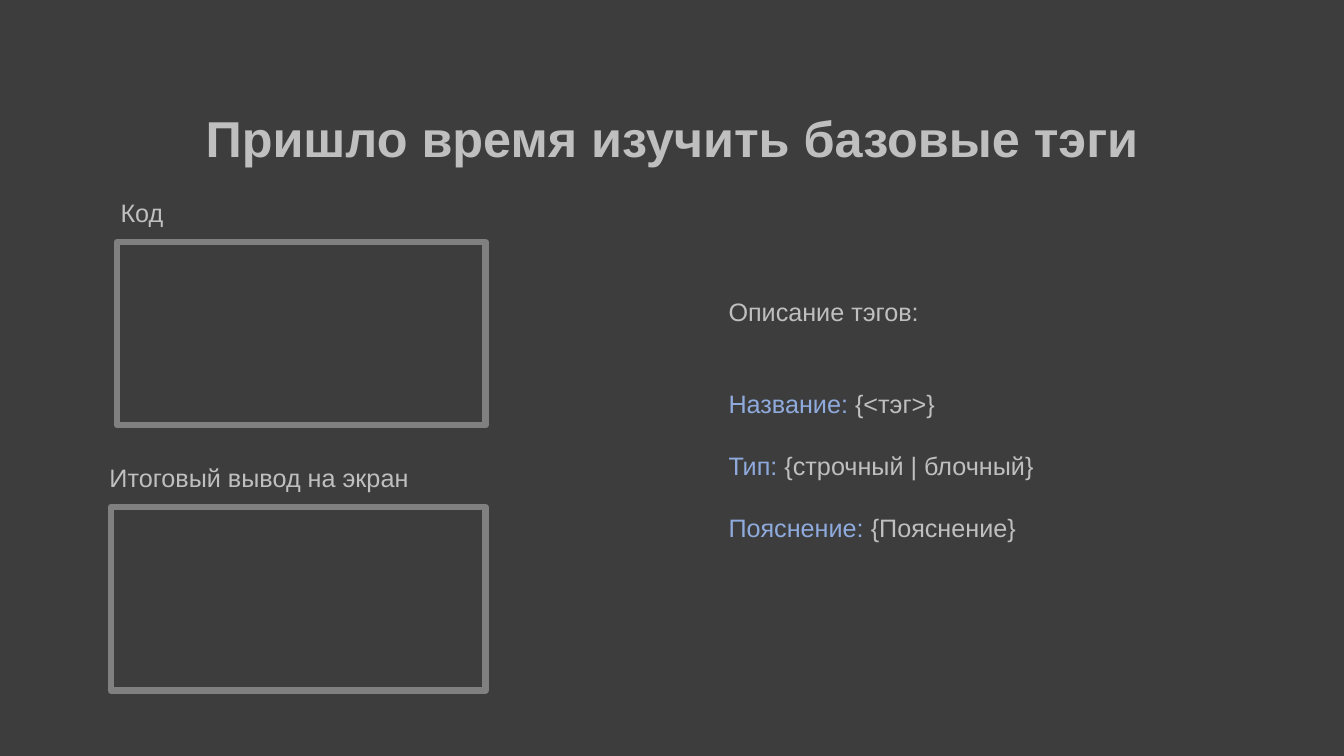
from pptx import Presentation
from pptx.dml.color import RGBColor as RGB
from pptx.enum.shapes import MSO_SHAPE as SHAPE
from pptx.enum.text import MSO_ANCHOR as ANCHOR, MSO_AUTO_SIZE as AUTO, PP_ALIGN as ALIGN
from pptx.util import Cm, Pt

THEME = {
    "font": "Arial",
    "background": RGB(0x3D, 0x3D, 0x3D),
    "text": RGB(0xBF, 0xBF, 0xBF),
    "accent": RGB(0x8F, 0xAA, 0xDC),
    "frame": RGB(0x80, 0x80, 0x80),
    "title_size": Pt(36),
    "body_size": Pt(18),
    "frame_width": Pt(4.5),
}


def add_run(p, text, color="text", size="body_size", bold=False):
    r = p.add_run()
    r.text = text
    r.font.name = THEME["font"]
    r.font.size = THEME[size]
    r.font.bold = bold
    r.font.color.rgb = THEME[color]


def add_text(s, left, top, width, height):
    tf = s.shapes.add_textbox(Cm(left), Cm(top), Cm(width), Cm(height)).text_frame
    tf.word_wrap = True
    tf.auto_size = AUTO.SHAPE_TO_FIT_TEXT
    return tf


prs = Presentation()
prs.slide_width, prs.slide_height = Cm(33.87), Cm(19.05)
s = prs.slides.add_slide(prs.slide_layouts[5])
s.background.fill.solid()
s.background.fill.fore_color.rgb = THEME["background"]

title = s.shapes.title
title.left, title.top, title.width, title.height = Cm(2.95), Cm(2.62), Cm(27.99), Cm(1.75)
tf = title.text_frame
tf.word_wrap = True
tf.auto_size = AUTO.NONE
tf.vertical_anchor = ANCHOR.BOTTOM
p = tf.paragraphs[0]
p.alignment = ALIGN.CENTER
p.line_spacing = 0.9
add_run(p, "Пришло время изучить базовые тэги", size="title_size", bold=True)

tf = add_text(s, 18.11, 7.34, 9.65, 6.4)
add_run(tf.paragraphs[0], "Описание тэгов:")
tag_fields = [
    ("Название:", " {<тэг>}", 44.5),
    ("Тип:", " {строчный | блочный}", 22.5),
    ("Пояснение:", " {Пояснение}", 22.5),
]
for name, value, gap in tag_fields:
    p = tf.add_paragraph()
    p.space_before = Pt(gap)
    add_run(p, name, "accent")
    add_run(p, value)

panels = [
    ("Код", (2.79, 4.85, 7.62), (2.95, 6.1)),
    ("Итоговый вывод на экран", (2.51, 11.53, 8.31), (2.79, 12.78)),
]
frame_right, frame_height = 12.24, 4.62
for caption, caption_box, (left, top) in panels:
    tf = add_text(s, *caption_box, 1.02)
    add_run(tf.paragraphs[0], caption)
    sp = s.shapes.add_shape(
        SHAPE.RECTANGLE, Cm(left), Cm(top), Cm(frame_right - left), Cm(frame_height)
    )
    sp.shadow.inherit = False
    sp.fill.background()
    sp.line.color.rgb = THEME["frame"]
    sp.line.width = THEME["frame_width"]

prs.save("out.pptx")
